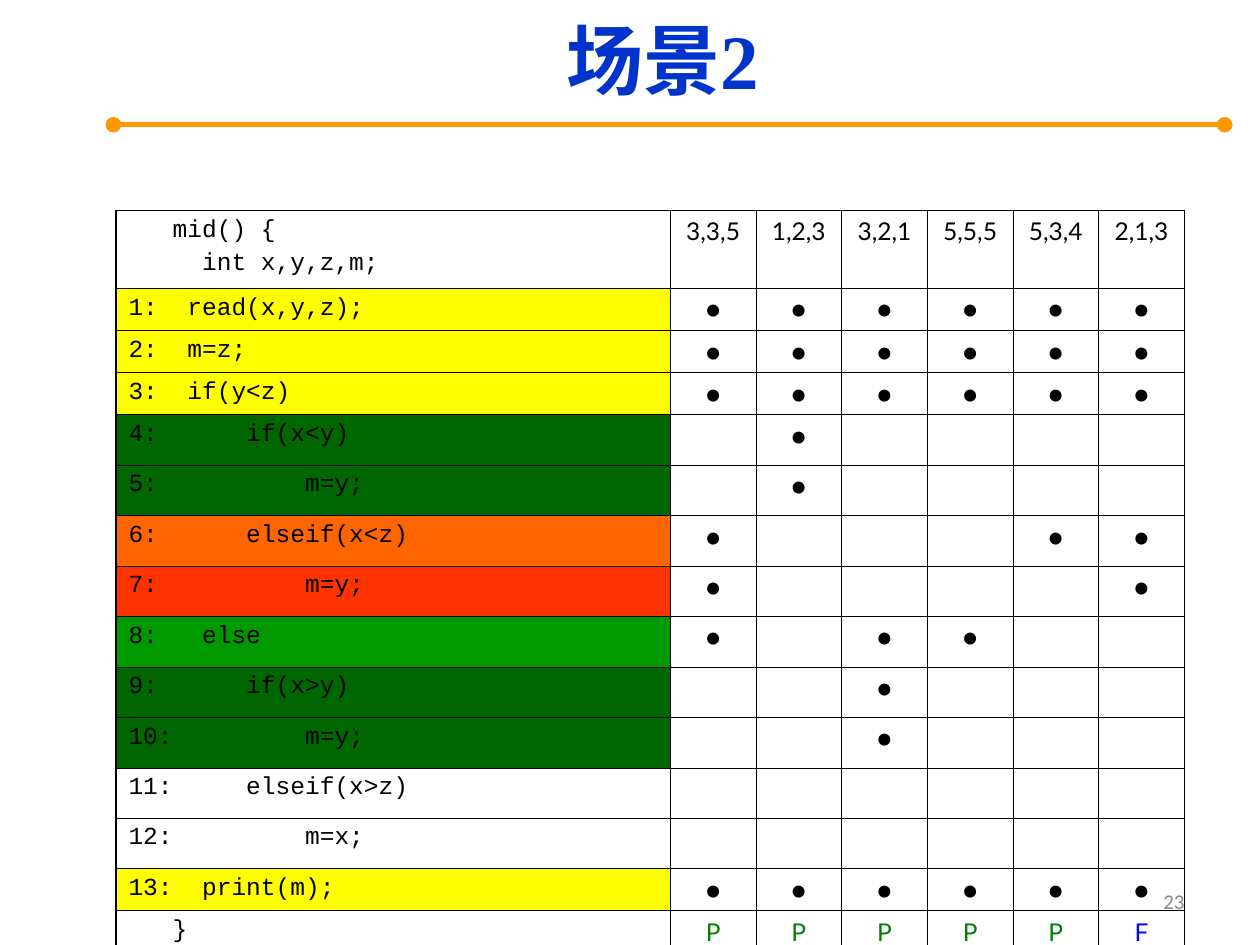
import lxml.etree
import pptx
import pptx.dml.color
import pptx.enum.dml
import pptx.enum.shapes
import pptx.enum.text
import pptx.oxml.ns
import pptx.util

Inches = pptx.util.Inches
Pt = pptx.util.Pt
RGBColor = pptx.dml.color.RGBColor
PP_ALIGN = pptx.enum.text.PP_ALIGN
MSO_ANCHOR = pptx.enum.text.MSO_ANCHOR
qn = pptx.oxml.ns.qn

BLACK = RGBColor(0x00, 0x00, 0x00)
WHITE = RGBColor(0xFF, 0xFF, 0xFF)
TITLE_BLUE = RGBColor(0x00, 0x33, 0xCC)
RULE_ORANGE = RGBColor(0xFF, 0x99, 0x00)
NUMBER_GRAY = RGBColor(0x89, 0x89, 0x89)
YELLOW = RGBColor(0xFF, 0xFF, 0x00)
DARK_GREEN = RGBColor(0x00, 0x66, 0x00)
GREEN = RGBColor(0x00, 0x99, 0x00)
ORANGE = RGBColor(0xFF, 0x66, 0x00)
RED = RGBColor(0xFF, 0x33, 0x00)
PASS_GREEN = RGBColor(0x00, 0x80, 0x00)
FAIL_BLUE = RGBColor(0x00, 0x00, 0xFF)

THIN, THICK = Pt(0.45), Pt(1.08)
TEST_INPUTS = ["3,3,5", "1,2,3", "3,2,1", "5,5,5", "5,3,4", "2,1,3"]
ALL_TESTS = range(6)

# Code line, suspiciousness colour, tests that execute the line
STATEMENTS = [
    ("1:  read(x,y,z);", YELLOW, ALL_TESTS),
    ("2:  m=z;", YELLOW, ALL_TESTS),
    ("3:  if(y<z)", YELLOW, ALL_TESTS),
    ("4:      if(x<y)", DARK_GREEN, [1]),
    ("5:          m=y;", DARK_GREEN, [1]),
    ("6:      elseif(x<z)", ORANGE, [0, 4, 5]),
    ("7:          m=y;", RED, [0, 5]),
    ("8:   else", GREEN, [0, 2, 3]),
    ("9:      if(x>y)", DARK_GREEN, [2]),
    ("10:         m=y;", DARK_GREEN, [2]),
    ("11:     elseif(x>z)", None, []),
    ("12:         m=x;", None, []),
    ("13:  print(m);", YELLOW, ALL_TESTS),
]


def format_text(paragraph, font_name, size, color, align=PP_ALIGN.LEFT, bold=False):
    paragraph.alignment = align
    for run in paragraph.runs:
        run.font.name = font_name
        run.font.size = Pt(size)
        run.font.bold = bold
        run.font.color.rgb = color


def set_borders(cell, widths):
    """Draw black borders; widths are in the order left, right, top, bottom."""
    properties = cell._tc.get_or_add_tcPr()
    for side, width in zip("LRTB", widths):
        border = lxml.etree.SubElement(properties, qn(f"a:ln{side}"), w=str(width))
        fill = lxml.etree.SubElement(border, qn("a:solidFill"))
        lxml.etree.SubElement(fill, qn("a:srgbClr"), val=str(BLACK))


presentation = pptx.Presentation()
presentation.slide_width = Inches(10)
presentation.slide_height = Inches(7.5)
slide = presentation.slides.add_slide(presentation.slide_layouts[5])

# Title and the rule below it
title = slide.shapes.title
title.left, title.top = Inches(1.16), Inches(0.05)
title.width, title.height = Inches(8.2), Inches(0.76)
title.fill.solid()
title.fill.fore_color.rgb = WHITE
title.text_frame.text = "场景2"
title.text_frame.auto_size = pptx.enum.text.MSO_AUTO_SIZE.NONE
title.text_frame.vertical_anchor = MSO_ANCHOR.TOP
format_text(title.text_frame.paragraphs[0], "Times New Roman", 44, TITLE_BLUE,
            PP_ALIGN.CENTER, bold=True)

title_rule = slide.shapes.add_connector(
    pptx.enum.shapes.MSO_CONNECTOR.STRAIGHT,
    Inches(0.9), Inches(0.99), Inches(9.72), Inches(0.99))
title_rule.line.color.rgb = RULE_ORANGE
title_rule.line.width = Pt(3)
for end in ("a:headEnd", "a:tailEnd"):
    lxml.etree.SubElement(title_rule.line._get_or_add_ln(), qn(end), type="oval")
lxml.etree.SubElement(title_rule._element.spPr, qn("a:effectLst"))

# Slide number
page_number = slide.shapes.add_textbox(Inches(7.17), Inches(6.95), Inches(2.33), Inches(0.4))
page_number.text_frame.word_wrap = True
page_number.text_frame.vertical_anchor = MSO_ANCHOR.MIDDLE
page_number.text_frame.text = "23"
format_text(page_number.text_frame.paragraphs[0], "Calibri", 12, NUMBER_GRAY, PP_ALIGN.RIGHT)

# Coverage table: one row per code line, one column per test
rows = [("   mid() {\n     int x,y,z,m;", None, TEST_INPUTS)]
for code, color, covering in STATEMENTS:
    rows.append((code, color, ["●" if test in covering else "" for test in ALL_TESTS]))
rows.append(("   }", None, list("PPPPPF")))
result_colors = {"P": PASS_GREEN, "F": FAIL_BLUE}

last_row, last_column = len(rows) - 1, len(TEST_INPUTS)
coverage = slide.shapes.add_table(last_row + 1, last_column + 1, Inches(0.92), Inches(1.67),
                                  Inches(8.5), Inches(5.29)).table
coverage.first_row = False
coverage.horz_banding = False
for index, column in enumerate(coverage.columns):
    column.width = Inches(0.68 if index else 4.4)
for index, row in enumerate(coverage.rows):
    row.height = Inches(0.33 if index else 0.62)

for row_index, (code, color, marks) in enumerate(rows):
    for column_index, text in enumerate([code, *marks]):
        cell = coverage.cell(row_index, column_index)
        set_borders(cell, [
            THICK if column_index == 0 else THIN,
            THICK if column_index == last_column else THIN,
            THICK if row_index == 0 else THIN,
            THICK if row_index == last_row else THIN,
        ])
        if column_index == 0 and color is not None:
            cell.fill.solid()
            cell.fill.fore_color.rgb = color
        else:
            cell.fill.background()
        if not text:
            continue
        cell.text_frame.text = text
        for line_index, paragraph in enumerate(cell.text_frame.paragraphs):
            if line_index:
                paragraph.space_before = Pt(3.5)
            if column_index == 0:
                format_text(paragraph, "Courier New", 14, BLACK)
            else:
                format_text(paragraph, "Lato", 14, result_colors.get(text, BLACK),
                            PP_ALIGN.CENTER)

presentation.save("out.pptx")
